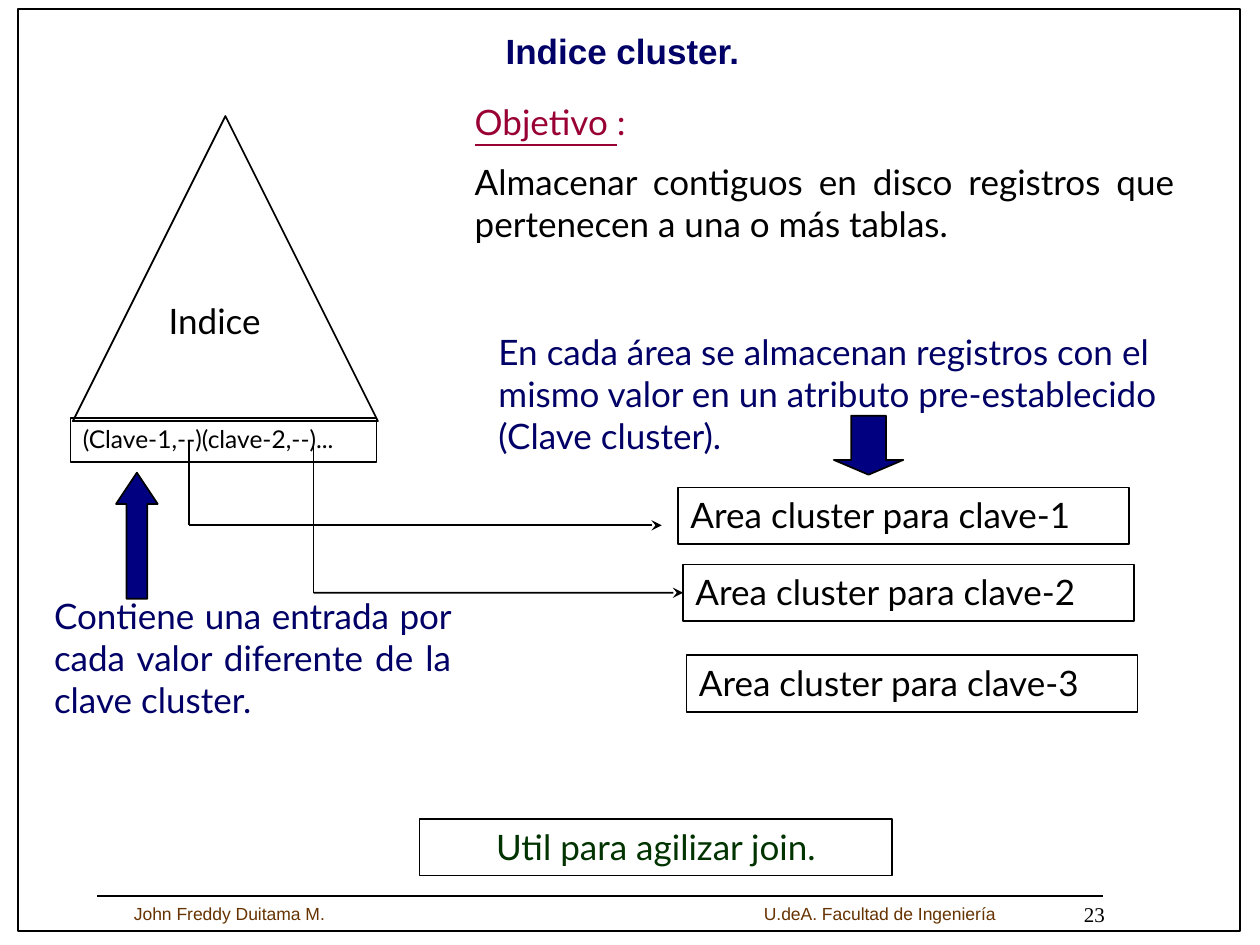
from dataclasses import dataclass

from lxml.etree import SubElement
from pptx import Presentation
from pptx.dml.color import RGBColor
from pptx.enum.shapes import MSO_CONNECTOR, MSO_SHAPE
from pptx.enum.text import MSO_ANCHOR, PP_ALIGN
from pptx.oxml.ns import qn
from pptx.util import Cm, Pt


@dataclass(frozen=True)
class Theme:
    """Colours, fonts and type sizes of the slide."""
    ink: str = "000000"
    navy: str = "000066"
    arrow: str = "000080"
    crimson: str = "990033"
    green: str = "003300"
    brown: str = "663300"
    body_font: str = "Lato"
    title_font: str = "Arial"
    number_font: str = "Times New Roman"
    body: int = 20
    entry: int = 14
    number: int = 12
    footer: int = 10
    line: int = 1
    gap: int = 10


class SlideBuilder:
    """Draws styled elements, measured in centimetres, on one slide."""

    def __init__(self, slide, theme):
        self.slide = slide
        self.theme = theme

    def style(self, paragraph, color=None, size=None, font=None, align=PP_ALIGN.LEFT, bold=False):
        """Align a paragraph and format its runs."""
        paragraph.alignment = align
        for run in paragraph.runs:
            run.font.name = font or self.theme.body_font
            run.font.size = Pt(size or self.theme.body)
            run.font.bold = bold
            run.font.color.rgb = RGBColor.from_string(color or self.theme.ink)

    def set_text(self, holder, wording, anchor=MSO_ANCHOR.TOP, **look):
        """Fill a shape with one styled paragraph."""
        frame = holder.text_frame
        frame.word_wrap = True
        frame.vertical_anchor = anchor
        frame.text = wording
        self.style(frame.paragraphs[0], **look)
        return frame

    def title(self, wording, left, top, width, height):
        """Place and format the title placeholder."""
        heading = self.slide.shapes.title
        heading.left, heading.top, heading.width, heading.height = map(Cm, (left, top, width, height))
        self.set_text(heading, wording, color=self.theme.navy, font=self.theme.title_font,
                      align=PP_ALIGN.CENTER, bold=True)

    def text(self, wording, left, top, width, height, **look):
        """Add a wrapped text box and return its frame."""
        holder = self.slide.shapes.add_textbox(*map(Cm, (left, top, width, height)))
        return self.set_text(holder, wording, **look)

    def shape(self, kind, left, top, width, height, fill=None):
        """Add an outlined preset shape."""
        outline = self.slide.shapes.add_shape(kind, *map(Cm, (left, top, width, height)))
        outline.shadow.inherit = False
        outline.line.color.rgb = RGBColor.from_string(self.theme.ink)
        outline.line.width = Pt(self.theme.line)
        if fill:
            outline.fill.solid()
            outline.fill.fore_color.rgb = RGBColor.from_string(fill)
        else:
            outline.fill.background()
        return outline

    def box(self, wording, left, top, width, height, **look):
        """Add an outlined rectangle with text."""
        frame_box = self.shape(MSO_SHAPE.RECTANGLE, left, top, width, height)
        self.set_text(frame_box, wording, **look)
        return frame_box

    def line(self, x1, y1, x2, y2, arrow=False):
        """Add a straight connector, optionally with an arrowhead."""
        rule = self.slide.shapes.add_connector(MSO_CONNECTOR.STRAIGHT, *map(Cm, (x1, y1, x2, y2)))
        rule.line.color.rgb = RGBColor.from_string(self.theme.ink)
        rule.line.width = Pt(self.theme.line)
        properties = rule._element.spPr
        if arrow:
            SubElement(properties.find(qn("a:ln")), qn("a:tailEnd"), type="stealth")
        SubElement(properties, qn("a:effectLst"))
        return rule

    def pointer(self, x, top, bend, end):
        """Draw a line down and then right to an arrowhead."""
        self.line(x, top, x, bend)
        return self.line(x, bend, end, bend, arrow=True)


def main():
    """Build and save the cluster index slide."""
    theme = Theme()
    deck = Presentation()
    deck.slide_width, deck.slide_height = Cm(25.4), Cm(19.05)
    page = SlideBuilder(deck.slides.add_slide(deck.slide_layouts[5]), theme)

    page.shape(MSO_SHAPE.RECTANGLE, 0.36, 0.18, 24.64, 18.59)
    page.line(1.96, 18.06, 22.23, 18.06)
    page.title("Indice cluster.", 0.61, 0.46, 23.88, 1.2)
    footers = [
        ("John Freddy Duitama M.", 2.45, 6, theme.brown, theme.footer, theme.title_font),
        ("U.deA. Facultad de Ingeniería", 15.15, 6, theme.brown, theme.footer, theme.title_font),
        ("23", 21.6, 1.5, theme.ink, theme.number, theme.number_font),
    ]
    for wording, left, width, color, size, font in footers:
        page.text(wording, left, 18.1, width, 0.65, anchor=MSO_ANCHOR.MIDDLE,
                  color=color, size=size, font=font)

    page.shape(MSO_SHAPE.ISOSCELES_TRIANGLE, 1.47, 2.34, 6.15, 6.15)
    page.box("(Clave-1,--)(clave-2,--)...", 1.42, 8.43, 6.17, 0.89, size=theme.entry)
    page.text("Indice", 3.15, 5.92, 2.97, 1.09)

    areas = [
        page.box(f"Area cluster para clave-{key}", left, top, 9.09, 1.14)
        for key, (left, top) in enumerate([(13.67, 9.83), (13.77, 11.38), (13.84, 13.21)], 1)
    ]
    page.pointer(3.81, 8.89, 10.59, 13.34)
    page.pointer(6.32, 8.89, 11.95, 13.77).end_connect(areas[1], 1)

    page.text("En cada área se almacenan registros con el mismo valor en un atributo "
              "pre-establecido (Clave cluster).", 9.8, 6.53, 14.4, 2.79, color=theme.navy)
    page.shape(MSO_SHAPE.DOWN_ARROW, 16.81, 8.38, 1.4, 1.19, fill=theme.arrow).adjustments[1] = 0.25
    page.text("Contiene una entrada por cada valor diferente de la clave cluster.",
              0.84, 11.86, 8.51, 3.63, color=theme.navy, align=PP_ALIGN.JUSTIFY)
    page.shape(MSO_SHAPE.UP_ARROW, 2.34, 9.53, 0.84, 2.54, fill=theme.arrow).adjustments[1] = 0.75

    goal = page.text("Objetivo ", 9.32, 1.91, 14.61, 3.23)
    heading = goal.paragraphs[0]
    heading.add_run().text = ":"
    page.style(heading, color=theme.crimson, align=PP_ALIGN.JUSTIFY)
    heading.runs[0].font.underline = True
    purpose = goal.add_paragraph()
    purpose.text = "Almacenar contiguos en disco registros que pertenecen a una o más tablas."
    purpose.space_before = Pt(theme.gap)
    page.style(purpose, align=PP_ALIGN.JUSTIFY)

    page.box("Util para agilizar join.", 8.46, 16.51, 9.53, 1.14,
             color=theme.green, align=PP_ALIGN.CENTER)
    deck.save("out.pptx")


if __name__ == "__main__":
    main()
